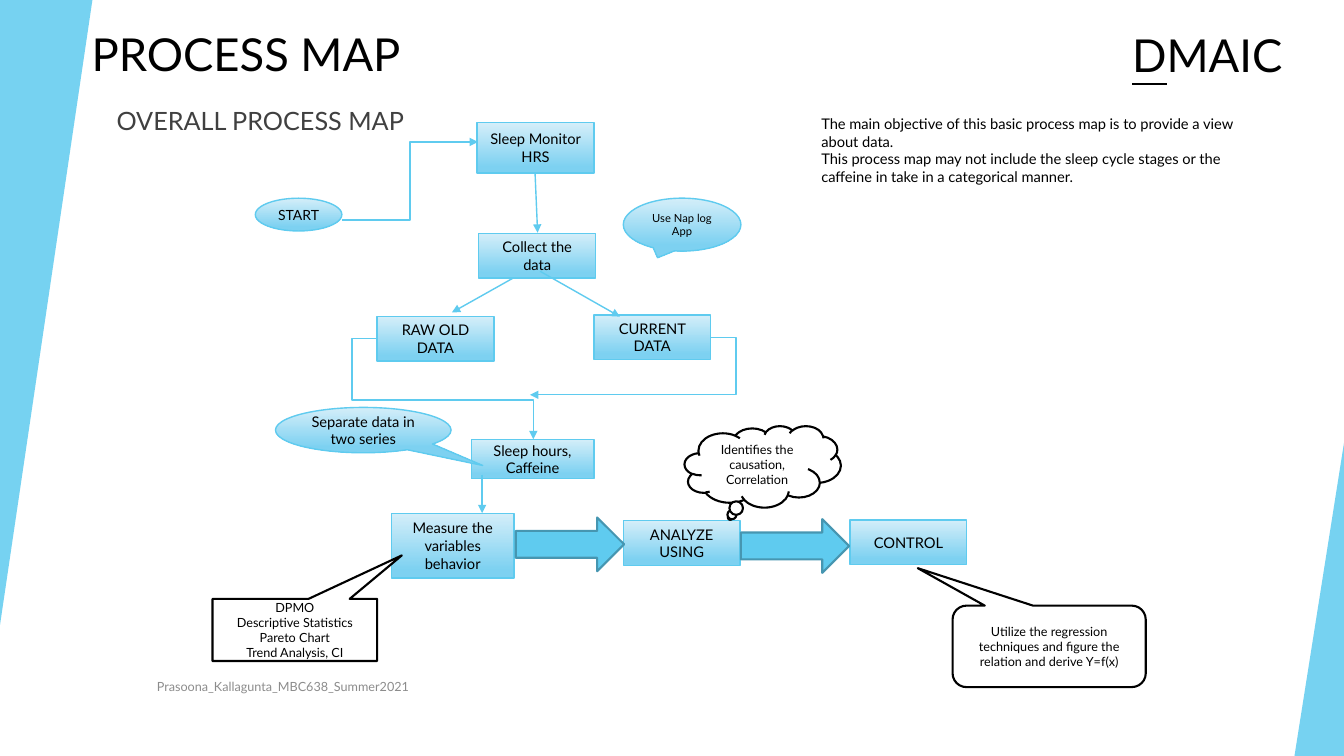
"""Builds the DMAIC process map slide on a grid of 160 columns by 90 rows."""
from dataclasses import dataclass

from lxml.etree import SubElement
from pptx import Presentation
from pptx.dml.color import RGBColor
from pptx.enum.shapes import MSO_CONNECTOR as Link, MSO_SHAPE as Shape
from pptx.enum.text import MSO_ANCHOR as Anchor, MSO_AUTO_SIZE as AutoSize, PP_ALIGN as Align
from pptx.oxml.ns import qn
from pptx.util import Inches, Pt

WIDTH, HEIGHT = Inches(13.33), Inches(7.5)
COLUMNS, ROWS = 160, 90


@dataclass(frozen=True)
class Theme:
    font: str = "Lato"
    ink: str = "000000"
    paper: str = "FFFFFF"
    heading: str = "404040"
    muted: str = "8C8C8C"
    accent: str = "5FCBEF"
    edge: str = "4696B1"
    pale: str = "D4EEF9"
    deep: str = "7DD1F1"
    title_size: float = 32.4
    heading_size: float = 18
    body_size: float = 10.5
    start_size: float = 10
    note_size: float = 9
    hint_size: float = 8
    thin: float = 1
    thick: float = 1.5


THEME = Theme()

STEPS = {
    "Sleep Monitor HRS": (56.8, 14.6, 13.9, 6),
    "Collect the data": (57, 27.8, 13.9, 5.3),
    "RAW OLD DATA": (44.9, 37.7, 13.9, 5.3),
    "CURRENT DATA": (70.7, 37.5, 13.9, 5.3),
    "Sleep hours, Caffeine": (56.1, 52.3, 14.6, 4.7),
    "Measure the variables behavior": (46.6, 61.1, 14.6, 7.7),
    "ANALYZE USING": (74.2, 62, 13.9, 5.3),
    "CONTROL": (101.2, 61.9, 13.9, 5.3),
}
STRAIGHT_LINKS = [
    (63.7, 20.6, 64, 27.7),
    (61.1, 33.1, 53.8, 37.2),
    (64.3, 32.3, 73.8, 37.7),
    (57.4, 56.5, 57.4, 61.1),
]
BENT_LINKS = [
    ((40.7, 26.2, 56.9, 16.9), [0.5]),
    ((44.9, 40.3, 63.5, 52.3), [-0.16, 0.61]),
    ((84.6, 40.2, 63.1, 47), [-0.14]),
]
BLOCK_ARROWS = [(61.4, 61.6, 12.9, 6.4), (88.2, 61.8, 12.9, 6.4)]
BUBBLES = [
    (Shape.OVAL, (30.4, 23.6, 10.3, 3.9), "START", THEME.start_size, []),
    (Shape.OVAL_CALLOUT, (74.2, 23.6, 14, 6.3), "Use Nap log App", THEME.hint_size, []),
    (Shape.OVAL_CALLOUT, (32.8, 48.5, 20.9, 5.4), "Separate data in two series",
     THEME.body_size, [0.68, 0.78]),
]
NOTES = [
    (Shape.RECTANGULAR_CALLOUT, (25.3, 71.3, 19.6, 7.4),
     "DPMO\nDescriptive Statistics\nPareto Chart\nTrend Analysis, CI", [0.65, -1.2]),
    (Shape.CLOUD_CALLOUT, (81.5, 50.7, 18.6, 9.7),
     "Identifies the causation, Correlation", []),
    (Shape.ROUNDED_RECTANGULAR_CALLOUT, (113.4, 72.1, 23, 9.7),
     "Utilize the regression techniques and figure the relation and derive Y=f(x)",
     [-0.68, -0.96, 0.17]),
]
OBJECTIVE = (
    "The main objective of this basic process map is to provide a view about data.\n"
    "This process map may not include the sleep cycle stages or the caffeine in take "
    "in a categorical manner."
)


def on_grid(*cells):
    """Turn alternating columns and rows into slide lengths."""
    units = (WIDTH / COLUMNS, HEIGHT / ROWS)
    return [round(cell * units[index % 2]) for index, cell in enumerate(cells)]


def apply_format(target, values):
    """Set every attribute named in a dict."""
    for name, value in values.items():
        setattr(target, name, value)


def write(box, text, size, color=THEME.ink, align=Align.LEFT, anchor=Anchor.TOP, underlined=0):
    """Write paragraphs into a box, underlining the first letters if asked."""
    frame = box.text_frame
    apply_format(frame, {"word_wrap": True, "auto_size": AutoSize.NONE,
                         "vertical_anchor": anchor})
    for index, line in enumerate(text.split("\n")):
        para = frame.add_paragraph() if index else frame.paragraphs[0]
        para.alignment = align
        for part, underline in ((line[:underlined], True), (line[underlined:], False)):
            if part:
                span = para.add_run()
                span.text = part
                apply_format(span.font, {"name": THEME.font, "size": Pt(size),
                                         "underline": underline})
                span.font.color.rgb = RGBColor.from_string(color)


def add_text(page, place, text, size, **style):
    """Add a text box on the grid."""
    write(page.shapes.add_textbox(*on_grid(*place)), text, size, **style)


def set_line(line, color, width):
    """Give a line its colour and width."""
    line.color.rgb = RGBColor.from_string(color)
    line.width = Pt(width)


def add_figure(page, kind, place, fill, line=None, width=THEME.thin, adjust=()):
    """Add a preset shape; no fill colour means the blue gradient."""
    figure = page.shapes.add_shape(kind, *on_grid(*place))
    figure.shadow.inherit = False
    for index, value in enumerate(adjust):
        figure.adjustments[index] = value
    if fill:
        figure.fill.solid()
        figure.fill.fore_color.rgb = RGBColor.from_string(fill)
    else:
        figure.fill.gradient()
        figure.fill.gradient_angle = 270
        stops = ((0, THEME.pale), (0.88, THEME.deep))
        for stop, (position, color) in zip(figure.fill.gradient_stops, stops):
            stop.position = position
            stop.color.rgb = RGBColor.from_string(color)
    if line:
        set_line(figure.line, line, width)
    else:
        figure.line.fill.background()
    return figure


def add_bubble(page, kind, place, text, size, adjust=()):
    """Add a blue gradient shape with centred text."""
    bubble = add_figure(page, kind, place, None, THEME.accent, adjust=adjust)
    write(bubble, text, size, align=Align.CENTER, anchor=Anchor.MIDDLE)


def add_note(page, kind, place, text, adjust):
    """Add a white callout with a black outline."""
    note = add_figure(page, kind, place, THEME.paper, THEME.ink, THEME.thick, adjust)
    write(note, text, THEME.note_size, align=Align.CENTER, anchor=Anchor.MIDDLE)


def add_wedge(page, place, rotation=0):
    """Add a translucent right-angled wedge at the slide's edge."""
    wedge = add_figure(page, Shape.ISOSCELES_TRIANGLE, place, THEME.accent, adjust=[1])
    wedge.rotation = rotation
    color = wedge.element.spPr.find(qn("a:solidFill"))[0]
    SubElement(color, qn("a:alpha"), val="85000")


def add_link(page, ends, bends=()):
    """Add an arrow, bent at the given shares of its width and height."""
    kind = Link.ELBOW if bends else Link.STRAIGHT
    link = page.shapes.add_connector(kind, *on_grid(*ends))
    set_line(link.line, THEME.accent, THEME.thin)
    props = link.element.spPr
    SubElement(props.find(qn("a:ln")), qn("a:tailEnd"), type="triangle")
    SubElement(props, qn("a:effectLst"))
    if bends:
        outline = props.find(qn("a:prstGeom"))
        outline.set("prst", f"bentConnector{len(bends) + 2}")
        guides = outline.find(qn("a:avLst"))
        for number, share in enumerate(bends, 1):
            SubElement(guides, qn("a:gd"), name=f"adj{number}",
                       fmla=f"val {round(share * 100000)}")


def add_title(page, place, text):
    """Move the title placeholder and write the title."""
    title = page.shapes.title
    apply_format(title, dict(zip(("left", "top", "width", "height"), on_grid(*place))))
    write(title, text, THEME.title_size)


def main():
    """Build the slide and save the deck."""
    deck = Presentation()
    apply_format(deck, {"slide_width": WIDTH, "slide_height": HEIGHT})
    page = deck.slides.add_slide(deck.slide_layouts[5])
    add_title(page, (9.7, 2.5, 101.5, 6.8), "PROCESS MAP")
    add_wedge(page, (0, 0, 11, 74.4), 180)
    add_wedge(page, (154.1, 52.7, 5.9, 37.3))
    add_text(page, (17.5, 79.3, 74, 4.8), "Prasoona_Kallagunta_MBC638_Summer2021",
             THEME.note_size, color=THEME.muted, anchor=Anchor.MIDDLE)
    add_text(page, (12.7, 11.9, 40, 5), "OVERALL PROCESS MAP", THEME.heading_size,
             color=THEME.heading)
    add_text(page, (133.6, 2.6, 20.8, 6.8), "DMAIC", THEME.title_size, underlined=1)
    for text, place in STEPS.items():
        add_bubble(page, Shape.RECTANGLE, place, text, THEME.body_size)
    for bubble in BUBBLES:
        add_bubble(page, *bubble)
    for ends in STRAIGHT_LINKS:
        add_link(page, ends)
    for ends, bends in BENT_LINKS:
        add_link(page, ends, bends)
    for place in BLOCK_ARROWS:
        add_figure(page, Shape.RIGHT_ARROW, place, THEME.accent, THEME.edge, THEME.thick)
    for note in NOTES:
        add_note(page, *note)
    add_text(page, (96.6, 13.1, 54, 9.7), OBJECTIVE, THEME.body_size)
    deck.save("out.pptx")


if __name__ == "__main__":
    main()
